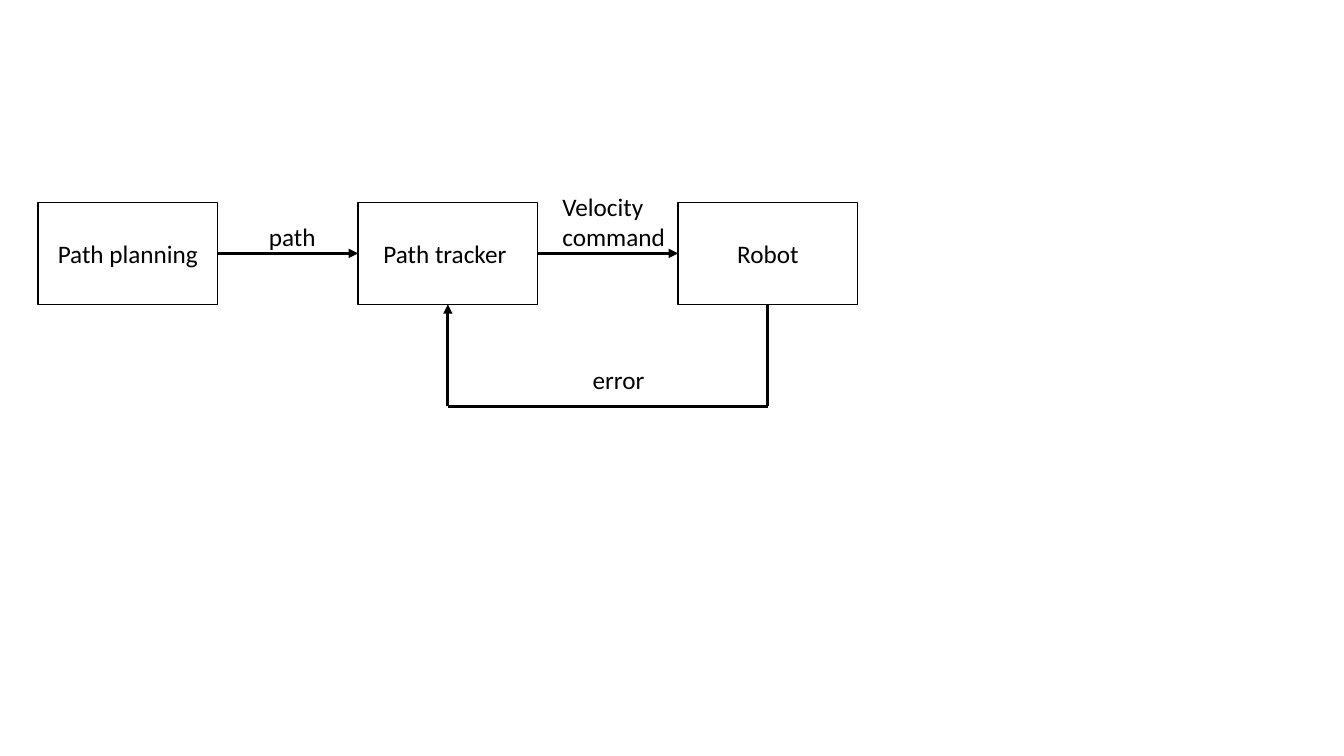
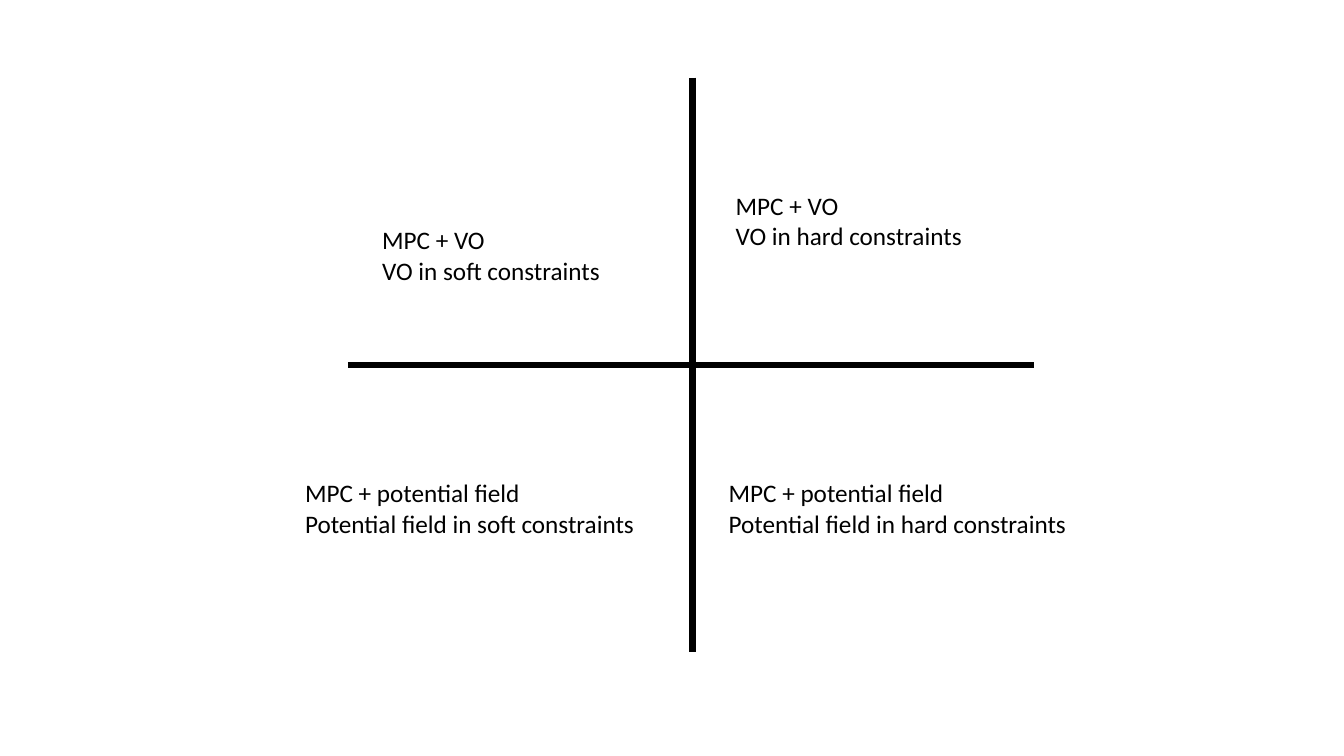
from itertools import pairwise

from lxml.etree import SubElement
from pptx import Presentation
from pptx.dml.color import RGBColor
from pptx.enum.shapes import MSO_CONNECTOR as Connector, MSO_SHAPE as Shape
from pptx.enum.text import MSO_ANCHOR as Anchor, PP_ALIGN as Align
from pptx.oxml.ns import qn
from pptx.util import Pt

BLACK = "000000"
WHITE = "FFFFFF"
FONT = "Calibri"
TEXT_SIZE = 18
ARROW_WEIGHT = 2.25
AXIS_WEIGHT = 4.5

BLOCK_LEFT, BLOCK_TOP = 27.2, 144.6
BLOCK_WIDTH, BLOCK_HEIGHT = 128.2, 72.8
BLOCK_PITCH = 228.6
BLOCKS = ["Path planning", "Path tracker ", "Robot"]
FEEDBACK_DROP = 72.8

FLOW_LABELS = [
    ("path", 185, 154.8, 67.7, 29),
    ("Velocity command", 394.6, 133.2, 90, 51),
    ("error", 416.2, 257, 57, 29),
]

QUADRANTS = [
    ("MPC + VO\nVO in hard constraints", 518.4, 132.5, 252.7, 51),
    ("MPC + potential field\nPotential field in soft constraints", 210.8, 337.7, 283.7, 51),
    ("MPC + VO\nVO in soft constraints", 265.9, 156.9, 252.7, 51),
    ("MPC + potential field\nPotential field in hard constraints", 513.4, 337.7, 283.7, 51),
]


def color(value):
    return RGBColor.from_string(value)


def write(shape, text, align):
    frame = shape.text_frame
    frame.word_wrap = True
    frame.text = text
    for para in frame.paragraphs:
        para.alignment = align
        for span in para.runs:
            span.font.name = FONT
            span.font.size = Pt(TEXT_SIZE)
            span.font.color.rgb = color(BLACK)


def add_block(shapes, text, left):
    block = shapes.add_shape(Shape.RECTANGLE, Pt(left), Pt(BLOCK_TOP),
                             Pt(BLOCK_WIDTH), Pt(BLOCK_HEIGHT))
    block.shadow.inherit = False
    block.fill.solid()
    block.fill.fore_color.rgb = color(WHITE)
    block.line.color.rgb = color(BLACK)
    block.line.width = Pt(1)
    block.text_frame.vertical_anchor = Anchor.MIDDLE
    write(block, text, Align.CENTER)


def add_label(shapes, text, left, top, width, height):
    box = shapes.add_textbox(Pt(left), Pt(top), Pt(width), Pt(height))
    write(box, text, Align.LEFT)


def add_line(shapes, start, end, weight, arrow=False):
    line = shapes.add_connector(Connector.STRAIGHT, *map(Pt, start + end))
    line.line.color.rgb = color(BLACK)
    line.line.width = Pt(weight)
    if arrow:
        SubElement(line.line._get_or_add_ln(), qn("a:tailEnd"), type="triangle")
    SubElement(line._element.spPr, qn("a:effectLst"))


def add_arrow_route(shapes, points):
    legs = list(pairwise(points))
    for index, (start, end) in enumerate(legs, 1):
        add_line(shapes, start, end, ARROW_WEIGHT, arrow=index == len(legs))


def build_control_loop(shapes):
    lefts = [BLOCK_LEFT + BLOCK_PITCH * index for index in range(len(BLOCKS))]
    for text, left in zip(BLOCKS, lefts):
        add_block(shapes, text, left)

    middle = BLOCK_TOP + BLOCK_HEIGHT / 2
    for left, following in pairwise(lefts):
        add_arrow_route(shapes, [(left + BLOCK_WIDTH, middle), (following, middle)])

    tracker, robot = (left + BLOCK_WIDTH / 2 for left in lefts[1:])
    bottom = BLOCK_TOP + BLOCK_HEIGHT
    low = bottom + FEEDBACK_DROP
    feedback = shapes.add_group_shape()
    add_arrow_route(feedback.shapes, [(robot, bottom), (robot, low),
                                      (tracker, low), (tracker, bottom)])

    for label in FLOW_LABELS:
        add_label(shapes, *label)


def build_quadrants(shapes):
    add_line(shapes, (248.4, 260.6), (738.7, 260.6), AXIS_WEIGHT)
    add_line(shapes, (494.6, 55.4), (494.6, 465.8), AXIS_WEIGHT)
    for quadrant in QUADRANTS:
        add_label(shapes, *quadrant)


def main():
    deck = Presentation()
    deck.slide_width, deck.slide_height = Pt(960), Pt(540)
    for build in (build_control_loop, build_quadrants):
        page = deck.slides.add_slide(deck.slide_layouts[6])
        build(page.shapes)
    deck.save("out.pptx")


if __name__ == "__main__":
    main()
